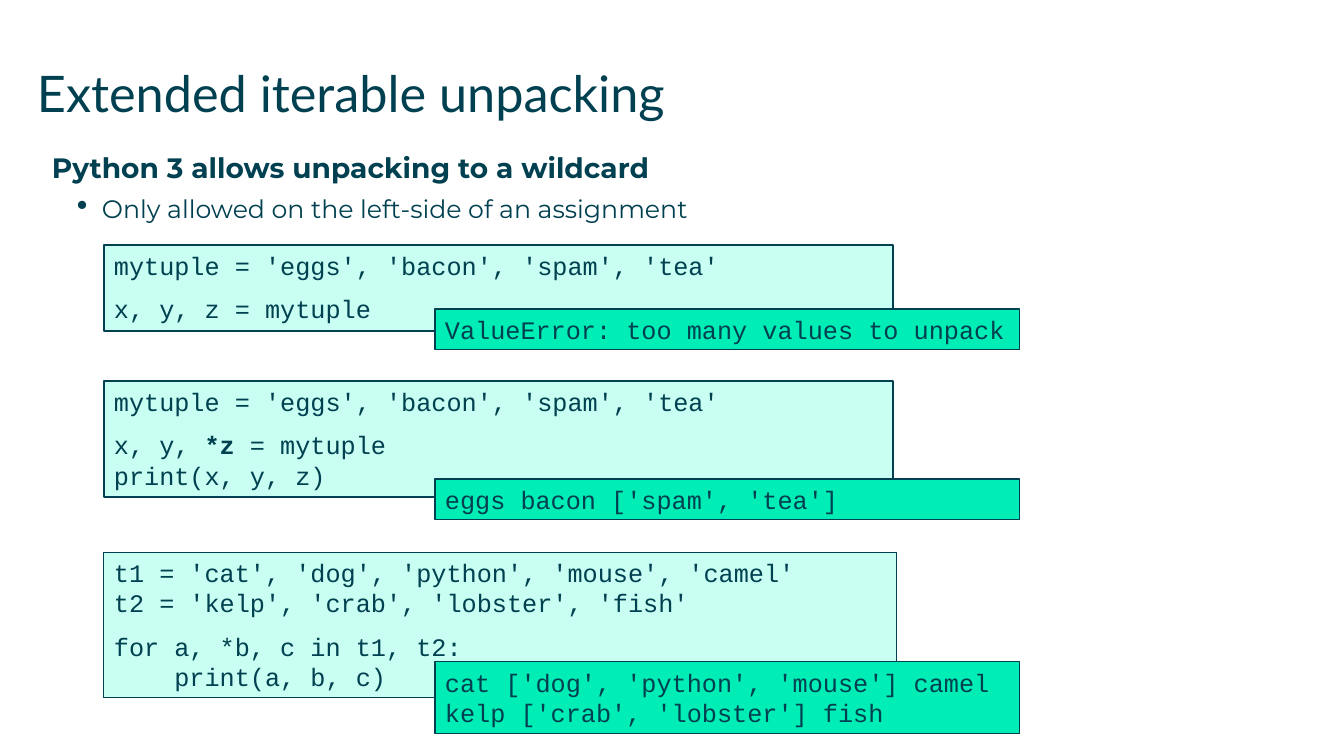
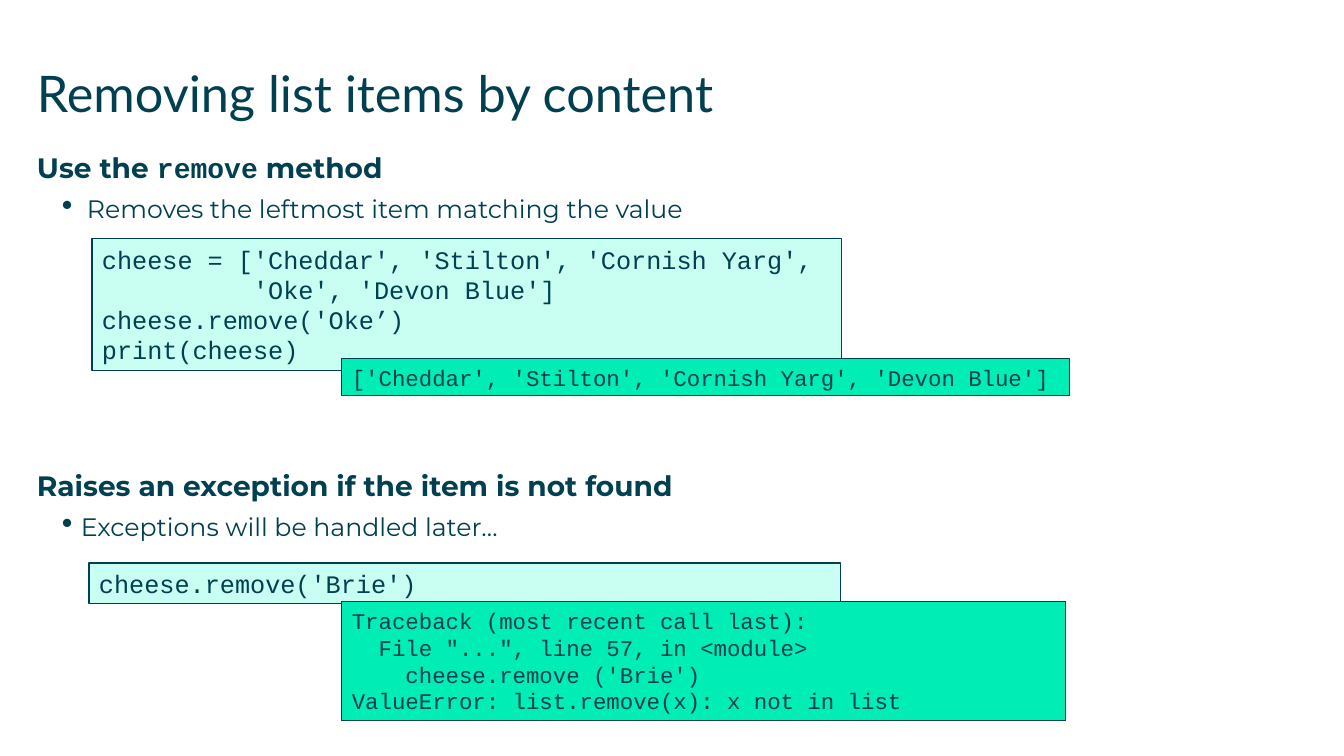
from dataclasses import dataclass

from lxml import etree
from pptx import Presentation
from pptx.dml.color import RGBColor
from pptx.enum.shapes import MSO_SHAPE
from pptx.enum.text import MSO_ANCHOR, MSO_AUTO_SIZE, PP_ALIGN
from pptx.oxml.ns import qn
from pptx.util import Emu, Pt

RECTANGLE = MSO_SHAPE.RECTANGLE
TOP = MSO_ANCHOR.TOP
NO_AUTOFIT = MSO_AUTO_SIZE.NONE
LEFT = PP_ALIGN.LEFT
EMU_PER_PX = 914400 / 100.8
SLIDE_WIDTH, SLIDE_HEIGHT = 1344, 756


@dataclass(frozen=True)
class Theme:
    ink: RGBColor = RGBColor.from_string("004050")
    code_fill: RGBColor = RGBColor.from_string("C8FFF2")
    output_fill: RGBColor = RGBColor.from_string("00EDB5")
    title_font: str = "Lato"
    body_font: str = "Montserrat"
    code_font: str = "Courier New"
    title_size: float = 36
    heading_size: float = 20
    text_size: float = 18
    small_size: float = 16
    body_gap: float = 6.5
    code_gap: float = 9.6
    border: float = 0.75


THEME = Theme()


@dataclass(frozen=True)
class Run:
    text: str
    font: str = THEME.code_font
    bold: bool = False


@dataclass(frozen=True)
class Line:
    runs: tuple[Run, ...]
    gap_before: float = 0


@dataclass(frozen=True)
class Box:
    left: int
    top: int
    width: int
    height: int


@dataclass(frozen=True)
class Section:
    box: Box
    heading: tuple[Run, ...]
    bullet: str
    text_indent: int = 50
    hanging: int = 25


@dataclass(frozen=True)
class Panel:
    box: Box
    lines: tuple[Line, ...]
    fill: RGBColor = THEME.code_fill
    size: float = THEME.text_size
    border: float = THEME.border


@dataclass(frozen=True)
class SlideContent:
    title: str
    sections: tuple[Section, ...]
    panels: tuple[Panel, ...]


def px(value: int) -> Emu:
    return Emu(round(value * EMU_PER_PX))


def place(box: Box) -> tuple[Emu, ...]:
    return tuple(px(value) for value in (box.left, box.top, box.width, box.height))


def apply_format(target, values: dict) -> None:
    for name, value in values.items():
        setattr(target, name, value)


def heading(text: str) -> tuple[Run, ...]:
    return (Run(text, THEME.body_font, True),)


def code(*texts: str, gap_before: float = 0) -> tuple[Line, ...]:
    first, *rest = texts
    return (Line((Run(first),), gap_before), *(Line((Run(text),)) for text in rest))


def output(box: Box, *texts: str, size: float = THEME.text_size) -> Panel:
    return Panel(box, code(*texts), THEME.output_fill, size)


def add_runs(paragraph, runs: tuple[Run, ...], size: float) -> None:
    for item in runs:
        run = paragraph.add_run()
        run.text = item.text
        apply_format(run.font, {"name": item.font, "size": Pt(size), "bold": item.bold})
        run.font.color.rgb = THEME.ink


def add_plain_box(slide, box: Box):
    frame = slide.shapes.add_textbox(*place(box)).text_frame
    apply_format(frame, {
        "word_wrap": True, "auto_size": NO_AUTOFIT, "vertical_anchor": TOP,
        "margin_left": 0, "margin_top": 0, "margin_right": 0, "margin_bottom": 0,
    })
    return frame


def add_title(slide, text: str) -> None:
    frame = add_plain_box(slide, Box(37, 62, 1270, 88))
    add_runs(frame.paragraphs[0], (Run(text, THEME.title_font),), THEME.title_size)


def add_bullet(paragraph, text_indent: int, hanging: int) -> None:
    properties = paragraph._p.get_or_add_pPr()
    properties.set("marL", str(px(text_indent)))
    properties.set("indent", str(-px(hanging)))
    etree.SubElement(properties, qn("a:buSzPct"), val="125000")
    etree.SubElement(properties, qn("a:buChar"), char="•")


def add_section(slide, section: Section) -> None:
    frame = add_plain_box(slide, section.box)
    heading_paragraph = frame.paragraphs[0]
    heading_paragraph.space_after = Pt(THEME.body_gap)
    add_runs(heading_paragraph, section.heading, THEME.heading_size)
    bullet_paragraph = frame.add_paragraph()
    add_bullet(bullet_paragraph, section.text_indent, section.hanging)
    add_runs(bullet_paragraph, (Run(section.bullet, THEME.body_font),), THEME.text_size)


def add_panel(slide, panel: Panel) -> None:
    shape = slide.shapes.add_shape(RECTANGLE, *place(panel.box))
    shape.shadow.inherit = False
    shape.fill.solid()
    shape.fill.fore_color.rgb = panel.fill
    shape.line.color.rgb = THEME.ink
    shape.line.width = Pt(panel.border)
    frame = shape.text_frame
    apply_format(frame, {"word_wrap": True, "auto_size": NO_AUTOFIT, "vertical_anchor": TOP})
    for index, line in enumerate(panel.lines):
        paragraph = frame.add_paragraph() if index else frame.paragraphs[0]
        paragraph.alignment = LEFT
        if line.gap_before:
            paragraph.space_before = Pt(line.gap_before)
        add_runs(paragraph, line.runs, panel.size)


BREAKFAST = "mytuple = 'eggs', 'bacon', 'spam', 'tea'"

SLIDES = (
    SlideContent(
        "Extended iterable unpacking",
        (
            Section(
                Box(52, 151, 1270, 80),
                heading("Python 3 allows unpacking to a wildcard"),
                "Only allowed on the left-side of an assignment",
            ),
        ),
        (
            Panel(
                Box(104, 245, 789, 86),
                code(BREAKFAST) + code("x, y, z = mytuple", gap_before=THEME.code_gap),
                border=1,
            ),
            output(Box(435, 309, 585, 41), "ValueError: too many values to unpack"),
            Panel(
                Box(104, 381, 789, 116),
                code(BREAKFAST)
                + (
                    Line(
                        (Run("x, y, "), Run("*z", bold=True), Run(" = mytuple")),
                        THEME.code_gap,
                    ),
                )
                + code("print(x, y, z)"),
                border=1,
            ),
            output(Box(435, 479, 585, 41), "eggs bacon ['spam', 'tea']"),
            Panel(
                Box(104, 552, 793, 146),
                code(
                    "t1 = 'cat', 'dog', 'python', 'mouse', 'camel'",
                    "t2 = 'kelp', 'crab', 'lobster', 'fish'",
                )
                + code(
                    "for a, *b, c in t1, t2:",
                    "    print(a, b, c)",
                    gap_before=THEME.code_gap,
                ),
            ),
            output(
                Box(435, 662, 585, 72),
                "cat ['dog', 'python', 'mouse'] camel",
                "kelp ['crab', 'lobster'] fish",
            ),
        ),
    ),
    SlideContent(
        "Removing list items by content",
        (
            Section(
                Box(37, 151, 1270, 80),
                heading("Use the ") + (Run("remove", bold=True),) + heading(" method"),
                "Removes the leftmost item matching the value",
            ),
            Section(
                Box(37, 469, 1270, 80),
                heading("Raises an exception if the item is not found"),
                "Exceptions will be handled later…",
                text_indent=44,
                hanging=19,
            ),
        ),
        (
            Panel(
                Box(92, 239, 750, 132),
                code(
                    "cheese = ['Cheddar', 'Stilton', 'Cornish Yarg',",
                    "          'Oke', 'Devon Blue']",
                    "cheese.remove('Oke’)",
                    "print(cheese)",
                ),
            ),
            Panel(Box(89, 563, 752, 41), code("cheese.remove('Brie')")),
            output(
                Box(342, 359, 728, 37),
                "['Cheddar', 'Stilton', 'Cornish Yarg', 'Devon Blue']",
                size=THEME.small_size,
            ),
            output(
                Box(342, 602, 724, 119),
                "Traceback (most recent call last):",
                "  File \"...\", line 57, in <module>",
                "    cheese.remove ('Brie')",
                "ValueError: list.remove(x): x not in list",
                size=THEME.small_size,
            ),
        ),
    ),
)


def main() -> None:
    presentation = Presentation()
    apply_format(presentation, {"slide_width": px(SLIDE_WIDTH), "slide_height": px(SLIDE_HEIGHT)})
    for content in SLIDES:
        slide = presentation.slides.add_slide(presentation.slide_layouts[6])
        add_title(slide, content.title)
        for section in content.sections:
            add_section(slide, section)
        for panel in content.panels:
            add_panel(slide, panel)
    presentation.save("out.pptx")


if __name__ == "__main__":
    main()
